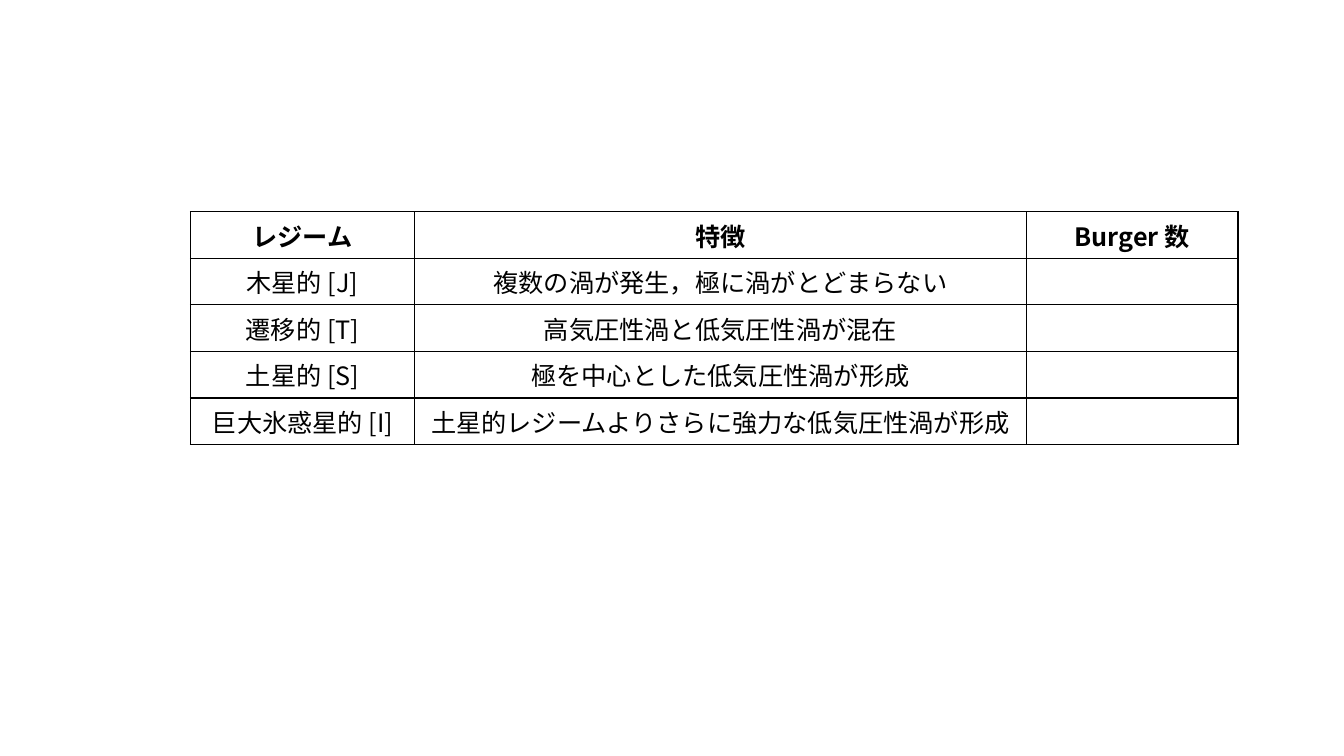
from dataclasses import dataclass

from lxml.etree import SubElement
from pptx import Presentation
from pptx.dml.color import RGBColor
from pptx.enum.text import MSO_ANCHOR, PP_ALIGN
from pptx.oxml.ns import qn
from pptx.util import Inches, Pt


@dataclass(frozen=True)
class Theme:
    """Font, sizes and colours of the slide."""
    font: str = "Noto Sans CJK JP"
    size: int = 18
    ink: str = "000000"
    border: int = 1


THEME = Theme()
COL_WIDTHS = (2.22, 6.07, 2.1)
ROW_HEIGHT = 0.41
REGIMES = (
    ("レジーム", "特徴", "Burger 数"),
    ("木星的 [J]", "複数の渦が発生，極に渦がとどまらない", ""),
    ("遷移的 [T]", "高気圧性渦と低気圧性渦が混在", ""),
    ("土星的 [S]", "極を中心とした低気圧性渦が形成", ""),
    ("巨大氷惑星的 [I]", "土星的レジームよりさらに強力な低気圧性渦が形成", ""),
)


def set_borders(cell):
    """Draw a thin line on all four sides of a cell."""
    tc_pr = cell._tc.get_or_add_tcPr()
    for side in ("a:lnL", "a:lnR", "a:lnT", "a:lnB"):
        ln = SubElement(tc_pr, qn(side), w=str(Pt(THEME.border)))
        fill = SubElement(ln, qn("a:solidFill"))
        SubElement(fill, qn("a:srgbClr"), val=THEME.ink)


def fill_cell(cell, text, bold):
    """Write centred text into a bordered cell without fill."""
    set_borders(cell)
    cell.fill.background()
    cell.vertical_anchor = MSO_ANCHOR.MIDDLE
    p = cell.text_frame.paragraphs[0]
    p.text = text
    p.alignment = PP_ALIGN.CENTER
    p.font.size = Pt(THEME.size)
    for r in p.runs:
        r.font.name = THEME.font
        r.font.size = Pt(THEME.size)
        r.font.bold = bold
        r.font.color.rgb = RGBColor.from_string(THEME.ink)
        SubElement(r.font._element, qn("a:ea"), typeface=THEME.font)


def add_regime_table(s, left, top):
    """Add the table of vortex regimes at the given corner."""
    table = s.shapes.add_table(
        len(REGIMES), len(COL_WIDTHS), Inches(left), Inches(top),
        Inches(sum(COL_WIDTHS)), Inches(ROW_HEIGHT * len(REGIMES))).table
    table.first_row = table.horz_banding = False
    for col, width in zip(table.columns, COL_WIDTHS):
        col.width = Inches(width)
    for i, (row, texts) in enumerate(zip(table.rows, REGIMES)):
        row.height = Inches(ROW_HEIGHT)
        for cell, text in zip(row.cells, texts):
            fill_cell(cell, text, bold=i == 0)


def main():
    """Build the slide and save it."""
    prs = Presentation()
    prs.slide_width, prs.slide_height = Inches(13.33), Inches(7.5)
    s = prs.slides.add_slide(prs.slide_layouts[6])
    add_regime_table(s, 1.89, 2.1)
    prs.save("out.pptx")


if __name__ == "__main__":
    main()
